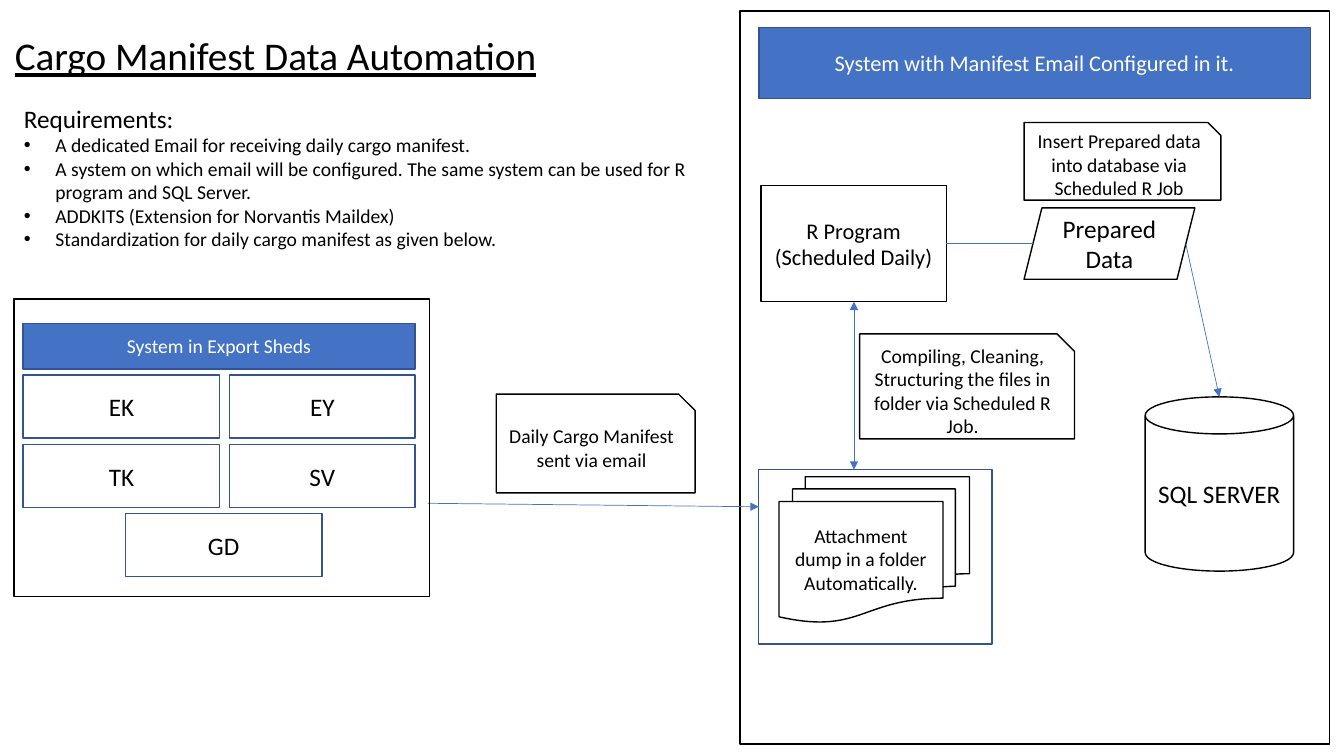
from lxml import etree
from pptx import Presentation
from pptx.dml.color import RGBColor
from pptx.enum.shapes import MSO_CONNECTOR, MSO_SHAPE
from pptx.enum.text import MSO_ANCHOR, PP_ALIGN
from pptx.oxml.ns import qn
from pptx.util import Pt

RECT = MSO_SHAPE.RECTANGLE
FRAME = MSO_SHAPE.FLOWCHART_PROCESS
NOTE = MSO_SHAPE.SNIP_1_RECTANGLE
DOCS = MSO_SHAPE.FLOWCHART_MULTIDOCUMENT
SLANT = MSO_SHAPE.PARALLELOGRAM
CAN = MSO_SHAPE.CAN
STRAIGHT = MSO_CONNECTOR.STRAIGHT
MIDDLE = MSO_ANCHOR.MIDDLE
CENTER = PP_ALIGN.CENTER

BLACK = RGBColor(0x00, 0x00, 0x00)
WHITE = RGBColor(0xFF, 0xFF, 0xFF)
BLUE = RGBColor(0x44, 0x72, 0xC4)
NAVY = RGBColor(0x32, 0x54, 0x91)


class Sheet:
    font = "Calibri"

    def __init__(self, slide):
        self.slide = slide

    def add_text(self, para, text, size, color=BLACK, under=None):
        run = para.add_run()
        run.text = text
        font = run.font
        font.name, font.size, font.underline = self.font, Pt(size), under
        font.color.rgb = color

    def box(self, kind, x, y, w, h, text="", size=14, fill=WHITE, line=BLACK, color=BLACK):
        shape = self.slide.shapes.add_shape(kind, Pt(x), Pt(y), Pt(w), Pt(h))
        shape.shadow.inherit = False
        if fill is None:
            shape.fill.background()
        else:
            shape.fill.solid()
            shape.fill.fore_color.rgb = fill
        shape.line.color.rgb = line
        shape.line.width = Pt(1)
        if text:
            frame = shape.text_frame
            frame.word_wrap = True
            frame.vertical_anchor = MIDDLE
            para = frame.paragraphs[0]
            para.alignment = CENTER
            self.add_text(para, text, size, color)

    def banner(self, x, y, w, h, text, size):
        self.box(RECT, x, y, w, h, text, size, BLUE, NAVY, WHITE)

    def link(self, x1, y1, x2, y2, ends=()):
        line = self.slide.shapes.add_connector(STRAIGHT, Pt(x1), Pt(y1), Pt(x2), Pt(y2))
        line.line.color.rgb = BLUE
        line.line.width = Pt(0.5)
        props = line._element.spPr
        for end in ends:
            etree.SubElement(props.find(qn("a:ln")), qn("a:" + end), type="triangle")
        etree.SubElement(props, qn("a:effectLst"))

    def label(self, x, y, w, h, text, size, under=None):
        shape = self.slide.shapes.add_textbox(Pt(x), Pt(y), Pt(w), Pt(h))
        frame = shape.text_frame
        frame.word_wrap = True
        self.add_text(frame.paragraphs[0], text, size, under=under)
        return frame

    def bullet(self, frame, text, size):
        para = frame.add_paragraph()
        props = para._p.get_or_add_pPr()
        props.set("marL", str(Pt(22.5)))
        props.set("indent", str(-Pt(22.5)))
        etree.SubElement(props, qn("a:buFont"), typeface="Arial")
        etree.SubElement(props, qn("a:buChar"), char="•")
        self.add_text(para, text, size)


deck = Presentation()
deck.slide_width, deck.slide_height = Pt(960), Pt(540)
sheet = Sheet(deck.slides.add_slide(deck.slide_layouts[6]))

sheet.banner(542, 19.5, 394, 51, "System with Manifest Email Configured in it.", 16)
sheet.box(FRAME, 528.5, 8, 421, 523.5, fill=None)
sheet.box(CAN, 818, 283.5, 106, 124.5, "SQL SERVER", 18)
sheet.box(DOCS, 556.5, 340.5, 136, 104, "Attachment dump in a folder Automatically.")
sheet.box(FRAME, 542, 335.5, 166.5, 124.5, fill=None, line=NAVY)

sheet.banner(16.5, 231, 280, 32.5, "System in Export Sheds", 14)
left, right = (16.5, 140.5), (164, 132.5)
middle = (89.5, 140.5)
sheds = [[("EK", left), ("EY", right)], [("TK", left), ("SV", right)], [("GD", middle)]]
for row, cells in enumerate(sheds):
    for name, (x, w) in cells:
        sheet.box(RECT, x, 268 + 49.5 * row, w, 45, name, 18, None, NAVY)
sheet.link(305.5, 359.5, 542, 362, ["tailEnd"])
sheet.box(NOTE, 354.5, 281.5, 142, 70.5, "Daily Cargo Manifest sent via email")
sheet.box(FRAME, 10, 213.5, 297, 212.5, fill=None)

sheet.box(FRAME, 543.5, 132.5, 132.5, 83, "R Program (Scheduled Daily)", 16)
sheet.box(NOTE, 614, 238.5, 153.5, 75,
          "Compiling, Cleaning, Structuring the files in folder via Scheduled R Job.")
sheet.box(SLANT, 731.5, 148.5, 122, 51, "Prepared Data", 18)
sheet.link(675.5, 174, 738, 174)
sheet.link(847, 174, 871, 283.5, ["tailEnd"])
sheet.box(NOTE, 731.5, 87.5, 140.5, 55.5, "Insert Prepared data into database via Scheduled R Job")

sheet.label(3.5, 19, 405, 41, "Cargo Manifest Data Automation", 28, True)
needs = sheet.label(10, 70, 501, 114, "Requirements:", 18)
for text in (
    "A dedicated Email for receiving daily cargo manifest.",
    "A system on which email will be configured. The same system can be used "
    "for R program and SQL Server.",
    "ADDKITS (Extension for Norvantis Maildex)",
    "Standardization for daily cargo manifest as given below.",
):
    sheet.bullet(needs, text, 14)
sheet.link(610, 215.5, 610, 335.5, ["headEnd", "tailEnd"])

deck.save("out.pptx")
